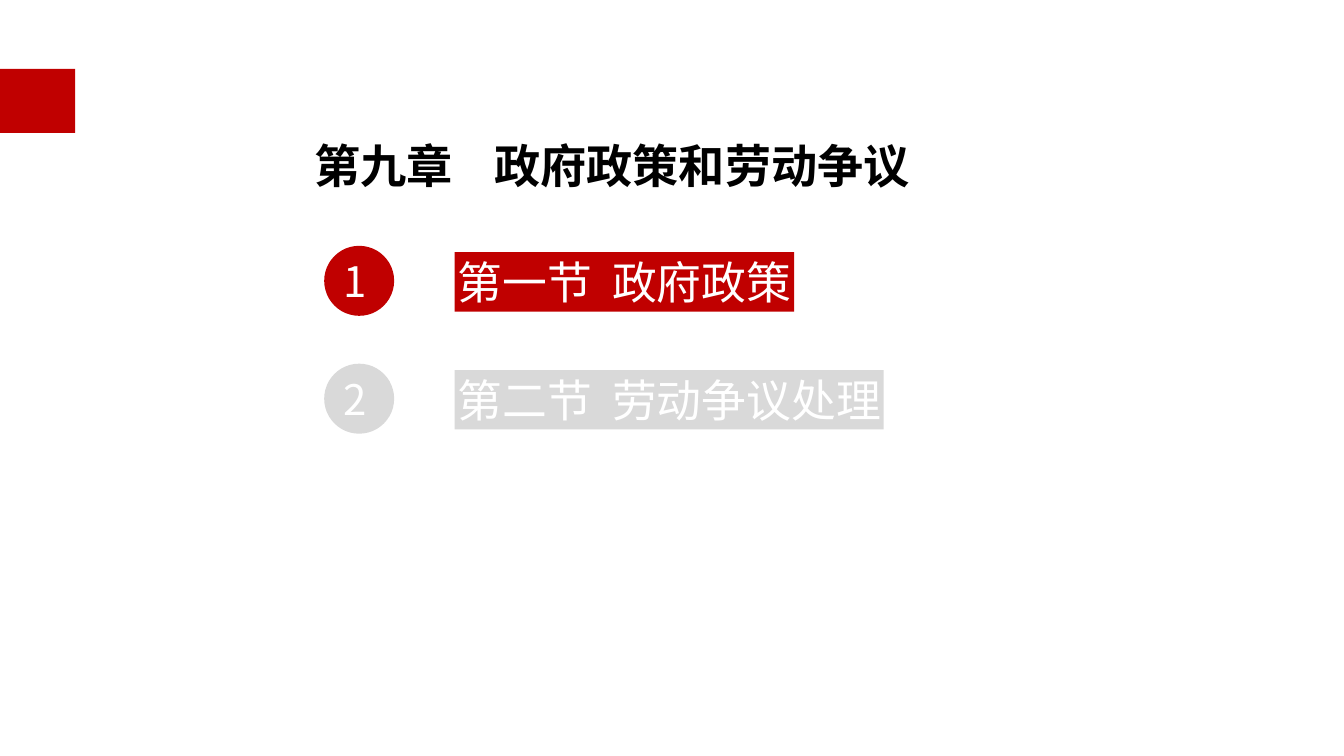
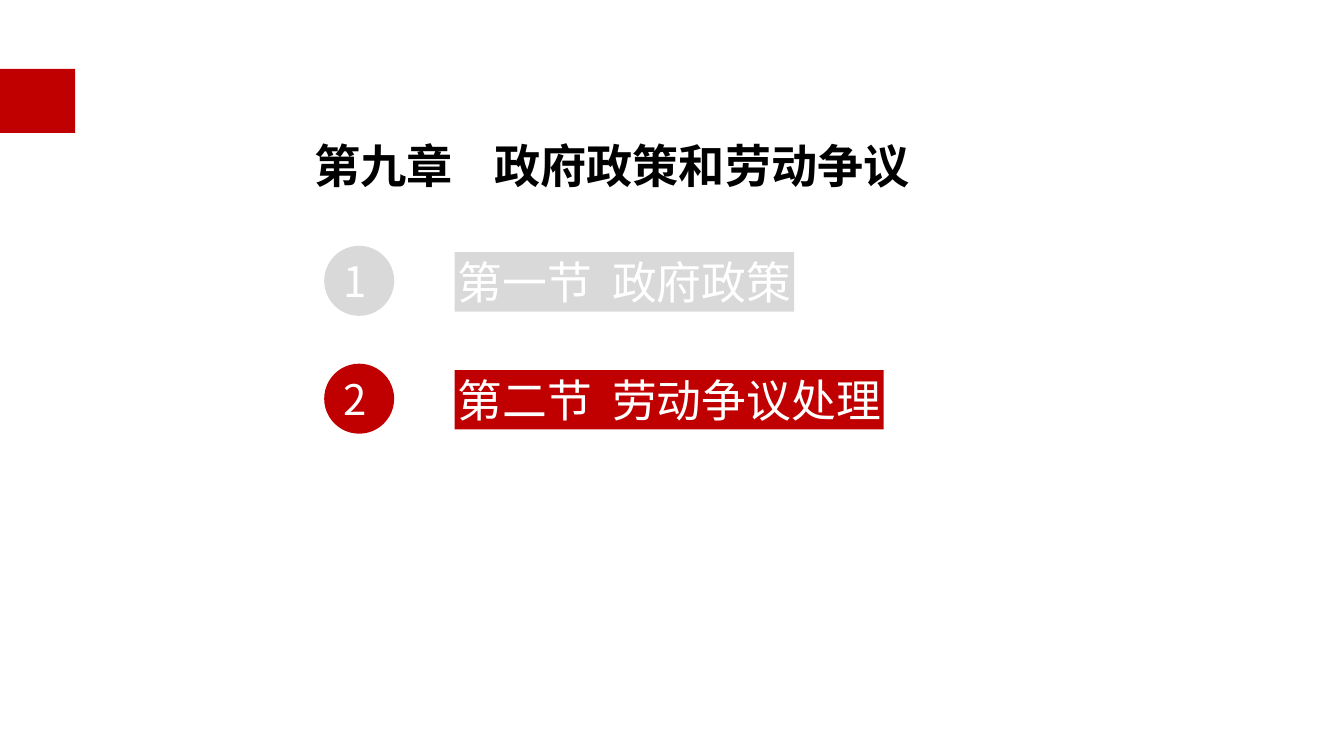
"""Build the two section-divider slides of chapter nine."""
from lxml.etree import SubElement
from pptx import Presentation
from pptx.dml.color import RGBColor
from pptx.enum.shapes import MSO_SHAPE as SHAPE
from pptx.enum.text import MSO_ANCHOR as ANCHOR, PP_ALIGN as ALIGN
from pptx.oxml.ns import qn
from pptx.util import Pt

RED = RGBColor(0xC0, 0x00, 0x00)
GREY = RGBColor(0xD9, 0xD9, 0xD9)
WHITE = RGBColor(0xFF, 0xFF, 0xFF)
BLACK = RGBColor(0x00, 0x00, 0x00)

CHAPTER = ("第九章", "政府政策和劳动争议")
SECTIONS = [("第一节", "政府政策"), ("第二节", "劳动争议处理")]


class Deck:
    CJK = "Noto Sans CJK SC"
    LATIN = "Calibri"
    INSET = 2.1
    TOP, PITCH = 175.6, 84.2
    CIRCLE, BAR = 50, 42.5
    BAR_SIZE, BAR_TAB = 32, 110.5

    def __init__(self):
        self.prs = Presentation()
        self.prs.slide_width, self.prs.slide_height = Pt(960.48), Pt(540)
        self.s = None

    def new_slide(self):
        self.s = self.prs.slides.add_slide(self.prs.slide_layouts[6])
        self.shape(SHAPE.RECTANGLE, 0, 49.2, 53.7, 45.8, RED)

    def shape(self, kind, x, y, w, h, fill):
        sp = self.s.shapes.add_shape(kind, Pt(x), Pt(y), Pt(w), Pt(h))
        sp.shadow.inherit = False
        sp.fill.solid()
        sp.fill.fore_color.rgb = fill
        sp.line.fill.background()
        return sp

    def text(self, sp, words, size, font, color, left=INSET, tab=None, bold=False):
        tf = sp.text_frame
        tf.word_wrap = True
        tf.vertical_anchor = ANCHOR.MIDDLE
        tf.margin_left = Pt(left)
        tf.margin_top = tf.margin_bottom = tf.margin_right = 0
        p = tf.paragraphs[0]
        p.text = words
        p.alignment = ALIGN.LEFT
        if tab:
            tabs = SubElement(p._p.get_or_add_pPr(), qn("a:tabLst"))
            SubElement(tabs, qn("a:tab"), pos=str(Pt(tab)), algn="l")
        p.font.size, p.font.name, p.font.bold = Pt(size), font, bold
        p.font.color.rgb = color
        latin = p._p.pPr.find(".//" + qn("a:latin"))
        SubElement(latin.getparent(), qn("a:ea"), typeface=self.CJK)
        return p

    def title(self, parts):
        box = self.s.shapes.add_textbox(Pt(222.5), Pt(76.3), Pt(430), Pt(63.4))
        p = self.text(box, "\t".join(parts), 33, self.CJK, BLACK, tab=128.6, bold=True)
        p.line_spacing = 1.5

    def section(self, index, parts, active):
        fill = RED if active else GREY
        y = self.TOP + index * self.PITCH
        circle = self.shape(SHAPE.OVAL, 231.7, y, self.CIRCLE, self.CIRCLE, fill)
        self.text(circle, str(index + 1), 30, self.CJK, WHITE, left=6.7)
        width = self.BAR_TAB + self.BAR_SIZE * len(parts[1]) + 2 * self.INSET
        bar_y = y + (self.CIRCLE - self.BAR) / 2 + 0.75
        bar = self.shape(SHAPE.RECTANGLE, 324.9, bar_y, width, self.BAR, fill)
        self.text(bar, "\t".join(parts), self.BAR_SIZE, self.LATIN, WHITE, tab=self.BAR_TAB)


def main():
    deck = Deck()
    for current in range(len(SECTIONS)):
        deck.new_slide()
        deck.title(CHAPTER)
        for index, parts in enumerate(SECTIONS):
            deck.section(index, parts, index == current)
    deck.prs.save("out.pptx")


if __name__ == "__main__":
    main()
